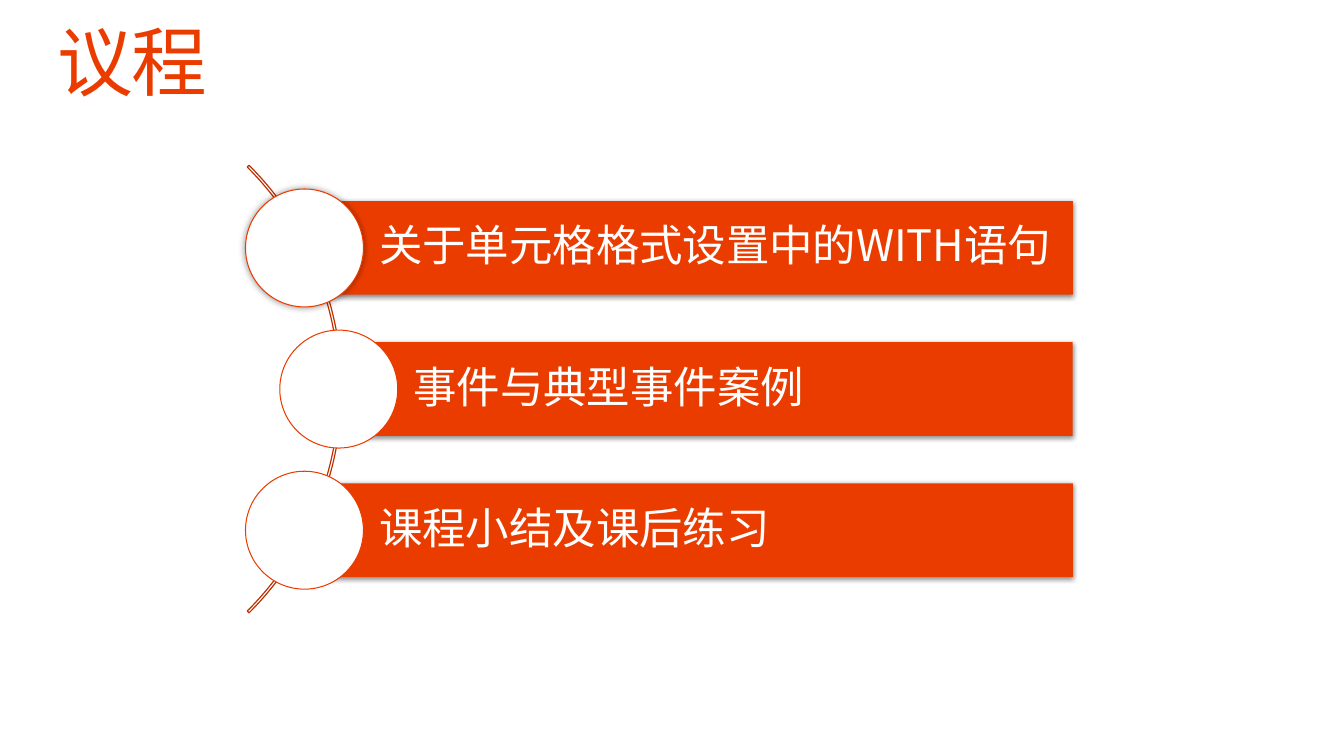
import pptx
import pptx.util
import pptx.dml.color
import pptx.enum.shapes
import pptx.enum.text
import pptx.oxml
import pptx.oxml.ns
import lxml.etree

Inches = pptx.util.Inches
Pt = pptx.util.Pt
RGB = pptx.dml.color.RGBColor.from_string
SHAPE = pptx.enum.shapes.MSO_SHAPE
ANCHOR = pptx.enum.text.MSO_ANCHOR
qn = pptx.oxml.ns.qn

COLORS = {"orange": "EB3C00", "arc": "BC3000", "white": "FFFFFF", "shadow": "000000"}
CJK_FONT = "Noto Sans CJK SC"


def add_run(p, text, size, font, color):
    r = p.add_run()
    r.text = text
    r.font.size = Pt(size)
    r.font.name = font
    r.font.color.rgb = RGB(COLORS[color])
    ea = lxml.etree.SubElement(r.font._element, qn("a:ea"))
    ea.set("typeface", CJK_FONT)
    return r


def add_shadow(sp, opacity, blur, distance):
    """Cast a downward shadow; opacity in percent, lengths in points."""
    effects = sp._element.spPr.find(qn("a:effectLst"))
    shadow = lxml.etree.SubElement(effects, qn("a:outerShdw"), blurRad=str(Pt(blur)),
                                   dist=str(Pt(distance)), dir="5400000",
                                   algn="ctr", rotWithShape="0")
    color = lxml.etree.SubElement(shadow, qn("a:srgbClr"), val=COLORS["shadow"])
    lxml.etree.SubElement(color, qn("a:alpha"), val=str(opacity * 1000))


prs = pptx.Presentation()
prs.slide_width = Inches(13.33)
prs.slide_height = Inches(7.5)
s = prs.slides.add_slide(prs.slide_layouts[5])

# Title
title = s.shapes.title
title.left, title.top = Inches(0.57), Inches(0.25)
title.width, title.height = Inches(12.19), Inches(0.82)
tf = title.text_frame
tf.margin_left = tf.margin_top = tf.margin_right = tf.margin_bottom = 0
tf.vertical_anchor = ANCHOR.TOP
tf.word_wrap = True
p = tf.paragraphs[0]
p.alignment = pptx.enum.text.PP_ALIGN.LEFT
p.line_spacing = 0.9
r = add_run(p, "议程", 54, "Karla", "orange")
r.font._element.set("spc", "-100")

# Arc linking the agenda items
arc = s.shapes.add_shape(SHAPE.BLOCK_ARC, Inches(-2.89), Inches(0.72), Inches(6.28), Inches(6.28))
for i, value in enumerate((189, 27, 0.004)):
    arc.adjustments[i] = value
arc.shadow.inherit = False
arc.fill.background()
arc.line.color.rgb = RGB(COLORS["arc"])
arc.line.width = Pt(0.85)

# Agenda items: a bar that starts at the centre of its circle
BAR_RIGHT, BAR_HEIGHT, CIRCLE = 10.64, 0.93, 1.17
FIRST_MIDDLE, STEP = 2.46, 1.4
items = [
    (3.02, "关于单元格格式设置中的WITH语句"),
    (3.36, "事件与典型事件案例"),
    (3.02, "课程小结及课后练习"),
]
for i, (left, text) in enumerate(items):
    middle = FIRST_MIDDLE + i * STEP
    bar = s.shapes.add_shape(SHAPE.RECTANGLE, Inches(left), Inches(middle - BAR_HEIGHT / 2),
                             Inches(BAR_RIGHT - left), Inches(BAR_HEIGHT))
    bar.shadow.inherit = False
    add_shadow(bar, 45, 3.5, 1.1)
    bar.fill.solid()
    bar.fill.fore_color.rgb = RGB(COLORS["orange"])
    bar.line.fill.background()
    tf = bar.text_frame
    tf.word_wrap = True
    tf.vertical_anchor = ANCHOR.MIDDLE
    tf.margin_left = Inches(0.74)
    tf.margin_top = tf.margin_right = tf.margin_bottom = Inches(0.09)
    p = tf.paragraphs[0]
    p.alignment = pptx.enum.text.PP_ALIGN.LEFT
    p.line_spacing = 0.9
    add_run(p, text, 31, CJK_FONT, "white")

    circle = s.shapes.add_shape(SHAPE.OVAL, Inches(left - CIRCLE / 2), Inches(middle - CIRCLE / 2),
                                Inches(CIRCLE), Inches(CIRCLE))
    circle.shadow.inherit = False
    if i == 0:
        add_shadow(circle, 40, 5, 0)
    circle.fill.solid()
    circle.fill.fore_color.rgb = RGB(COLORS["white"])
    circle.line.color.rgb = RGB(COLORS["orange"])
    circle.line.width = Pt(0.75)

prs.save("out.pptx")
